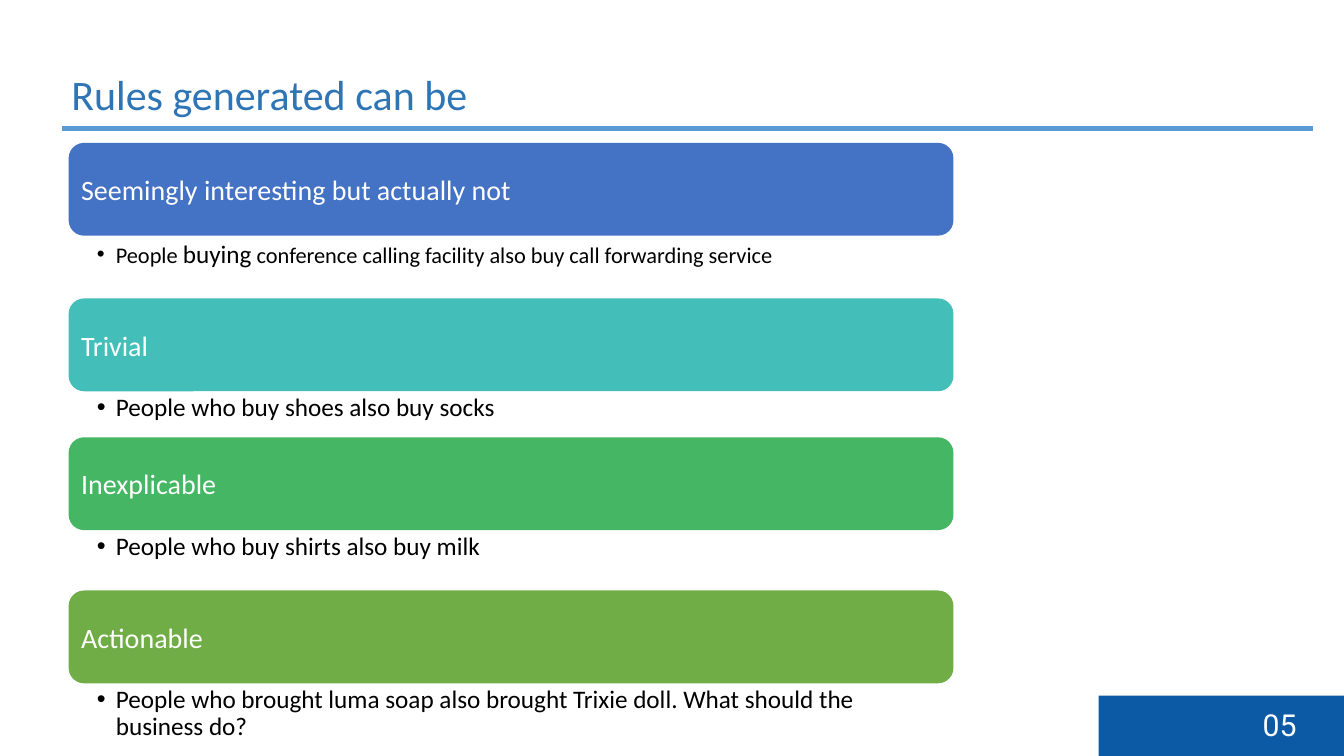
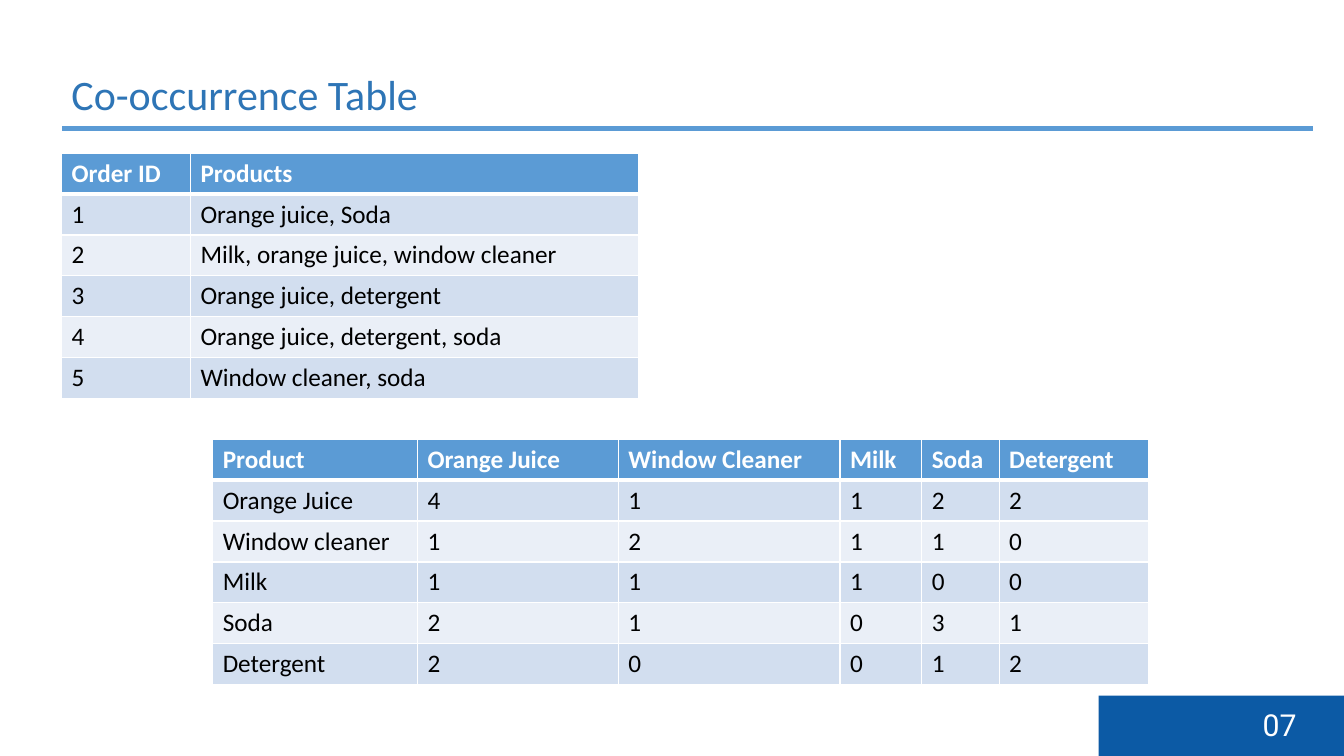
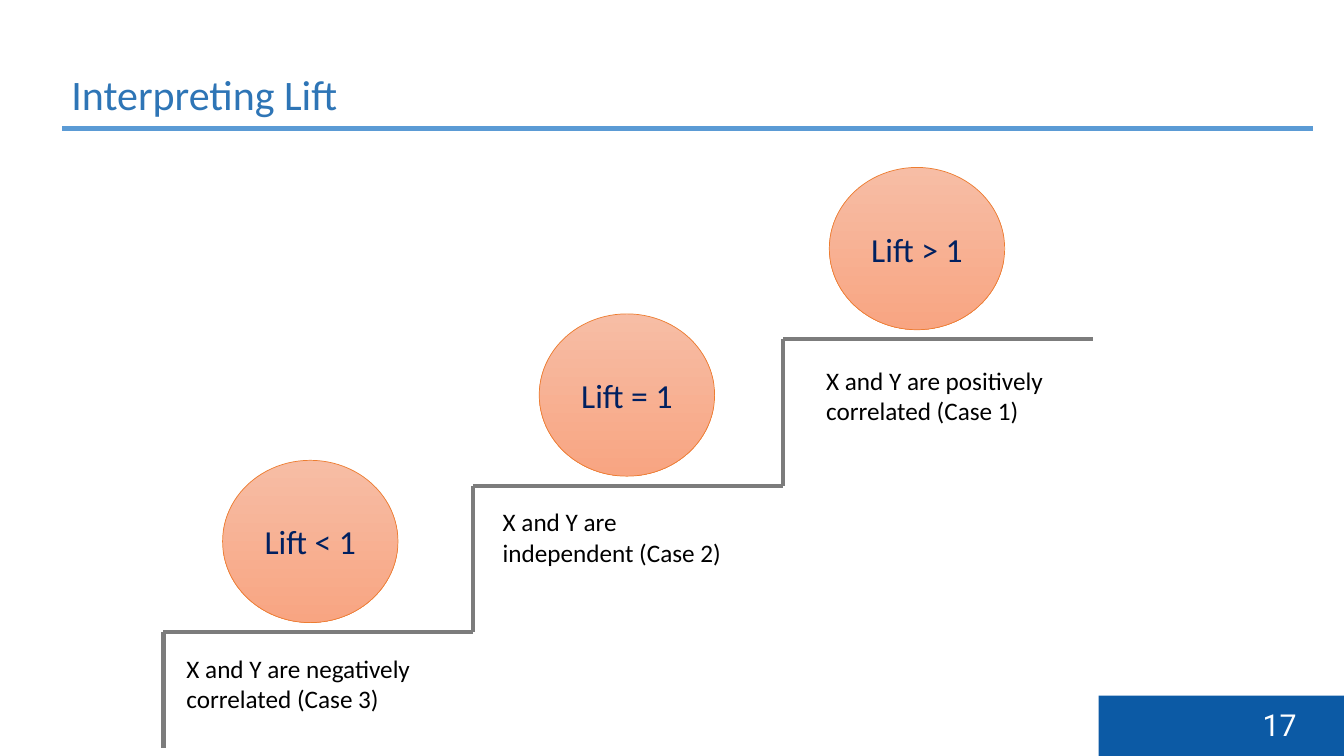
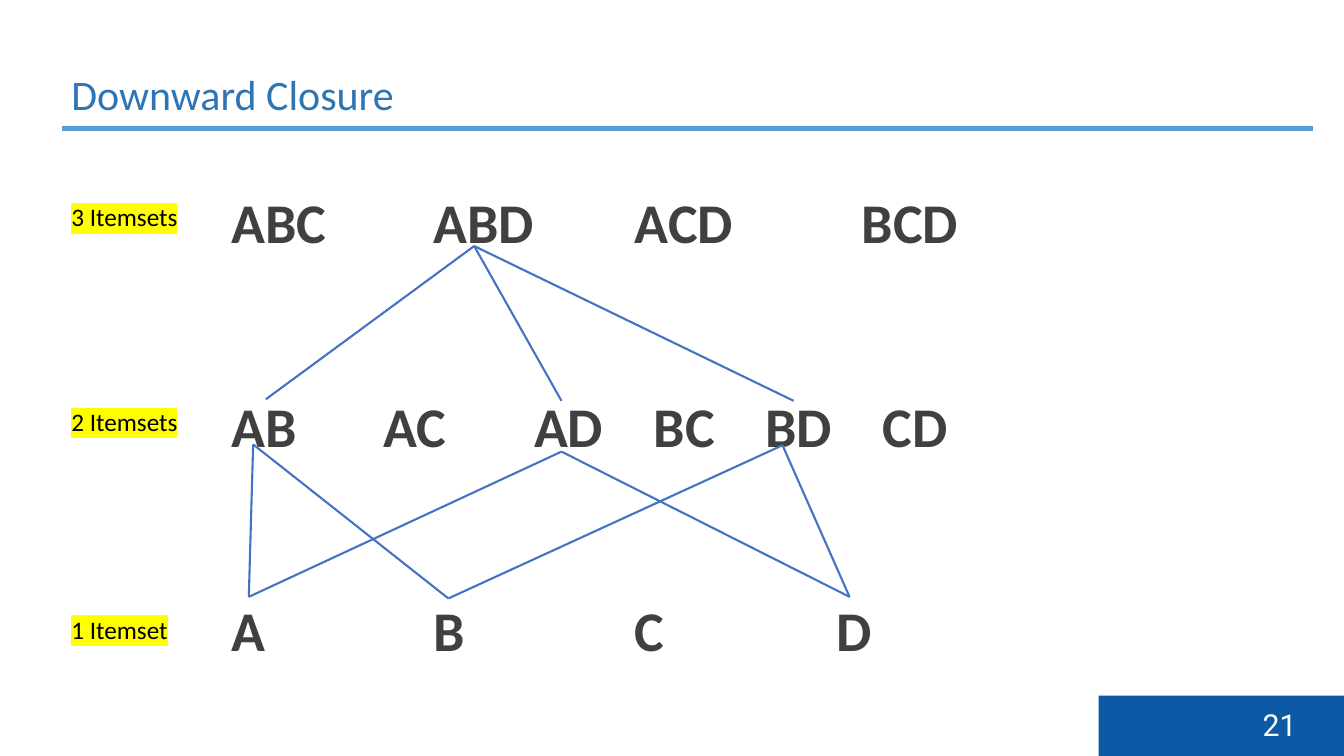
"""Build four slides on association rules: rule types, co-occurrence, lift and downward closure."""
from lxml import etree
from pptx import Presentation
from pptx.dml.color import RGBColor
from pptx.enum.shapes import MSO_CONNECTOR, MSO_SHAPE
from pptx.enum.text import MSO_ANCHOR, PP_ALIGN
from pptx.oxml.ns import qn
from pptx.util import Cm, Pt

STRAIGHT = MSO_CONNECTOR.STRAIGHT
RECTANGLE = MSO_SHAPE.RECTANGLE
ROUNDED = MSO_SHAPE.ROUNDED_RECTANGLE
BALL = MSO_SHAPE.FLOWCHART_CONNECTOR
TOP, MIDDLE = MSO_ANCHOR.TOP, MSO_ANCHOR.MIDDLE
LEFT, CENTER = PP_ALIGN.LEFT, PP_ALIGN.CENTER

WHITE, BLACK = "FFFFFF", "000000"
TITLE_BLUE, RULE_BLUE, FOOTER_BLUE = "2E75B6", "5B9BD5", "0C5AA5"
BAND_DARK, BAND_LIGHT = "D2DEEF", "EAEFF7"
STAIR_GREY, BALL_LINE, BALL_TEXT = "7C7C7C", "ED7D31", "002060"
BALL_GRADIENT = ("F7BDA5", "F8A582")
EDGE_BLUE, ITEM_GREY, HIGHLIGHT = "4472C4", "404040", "FFFF00"
TEXT_INSETS = (0.25, 0.13, 0.25, 0.13)

RULES = [
    ("Seemingly interesting but actually not", "4472C4", 0.08, 1.58,
     [("People ", 16), ("buying", 18),
      (" conference calling facility also buy call forwarding service", 16)]),
    ("Trivial", "43BEB9", 0, 1.16, [("People who buy shoes also buy socks", 18)]),
    ("Inexplicable", "45B664", 0, 1.52, [("People who buy shirts also buy milk", 18)]),
    ("Actionable", "70AD47", 0, 2.06,
     [("People who brought luma soap also brought Trixie doll. "
       "What should the business do?", 18)]),
]

ORDERS = [
    ("Order ID", "Products"),
    (1, "Orange juice, Soda"),
    (2, "Milk, orange juice, window cleaner"),
    (3, "Orange juice, detergent"),
    (4, "Orange juice, detergent, soda"),
    (5, "Window cleaner, soda"),
]
ORDER_WIDTHS = (3.25, 11.29)

CO_OCCURRENCE = [
    ("Product", "Orange Juice", "Window Cleaner", "Milk", "Soda", "Detergent"),
    ("Orange Juice", 4, 1, 1, 2, 2),
    ("Window cleaner", 1, 2, 1, 1, 0),
    ("Milk", 1, 1, 1, 0, 0),
    ("Soda", 2, 1, 0, 3, 1),
    ("Detergent", 2, 0, 0, 1, 2),
]
CO_OCCURRENCE_WIDTHS = (5.16, 5.06, 5.59, 2.06, 1.95, 3.76)

LIFT_STEPS = [
    ("Lift < 1", 5.61, "X and Y are negatively correlated (Case 3)", 4.45, 0.4),
    ("Lift = 1", 13.59, "X and Y are independent (Case 2)", 12.42, 0.4),
    ("Lift > 1", 20.9, "X and Y are positively correlated (Case 1)", 20.57, 0.53),
]

ITEMSETS = [
    (("ABC", "ABD", "ACD", "BCD"), (5.08, 10.16, 15.88)),
    (("AB", "AC", "AD", "BC", "BD", "CD"), (3.82, 7.62, 10.64, 13.45, 16.41)),
    (("A", "B", "C", "D"), (5.08, 10.16, 15.24)),
]
LEVELS = [("3 Itemsets", 4.95), ("2 Itemsets", 10.11), ("1 Itemset", 15.34)]
ITEM_TOPS = {
    "AB": (6.7, 10.06), "AD": (14.15, 10.1), "BD": (20, 10.1),
    "A": (6.27, 15.04), "B": (11.3, 15.08), "D": (21.41, 15.04),
}
ITEM_BOTTOMS = {
    "ABD": (11.95, 6.2), "AB": (6.38, 11.2), "AD": (14.15, 11.38), "BD": (19.72, 11.22),
}
SUBSETS = {
    "ABD": ("AB", "AD", "BD"), "AB": ("A", "B"), "AD": ("A", "D"), "BD": ("B", "D"),
}


def rgb(value):
    """Turn a hex string into a colour."""
    return RGBColor.from_string(value)


def add_element(parent, tag, **attributes):
    """Append a drawing element with the given attributes."""
    return etree.SubElement(parent, qn(tag), attributes)


def style_paragraph(paragraph, size, colour, font="Calibri", bold=False, align=LEFT):
    """Set the font and alignment of a whole paragraph."""
    paragraph.alignment = align
    paragraph.font.name = font
    paragraph.font.size = Pt(size)
    paragraph.font.bold = bold
    paragraph.font.color.rgb = rgb(colour)


def set_frame(frame, anchor=TOP, insets=TEXT_INSETS):
    """Set wrapping, anchor and insets of a text frame."""
    frame.word_wrap = True
    frame.vertical_anchor = anchor
    frame.margin_left, frame.margin_top, frame.margin_right, frame.margin_bottom = map(Cm, insets)


def add_text_box(slide, box, insets=TEXT_INSETS):
    """Add an empty text box and return its frame."""
    frame = slide.shapes.add_textbox(*map(Cm, box)).text_frame
    set_frame(frame, insets=insets)
    return frame


def add_text(slide, box, text, size, colour, font="Calibri"):
    """Add a text box of one paragraph and return the paragraph."""
    paragraph = add_text_box(slide, box).paragraphs[0]
    paragraph.text = text
    style_paragraph(paragraph, size, colour, font)
    return paragraph


def add_shape(slide, kind, box, fill, line=None, line_width=1):
    """Add a preset shape with a plain or two-colour fill."""
    shape = slide.shapes.add_shape(kind, *map(Cm, box))
    shape.shadow.inherit = False
    if isinstance(fill, tuple):
        shape.fill.gradient()
        shape.fill.gradient_angle = 270
        for stop, colour in zip(shape.fill.gradient_stops, fill):
            stop.color.rgb = rgb(colour)
    else:
        shape.fill.solid()
        shape.fill.fore_color.rgb = rgb(fill)
    if line:
        shape.line.color.rgb = rgb(line)
        shape.line.width = Pt(line_width)
    else:
        shape.line.fill.background()
    return shape


def add_line(slide, start, end, colour, width):
    """Add a straight line without a shadow."""
    connector = slide.shapes.add_connector(STRAIGHT, *map(Cm, (*start, *end)))
    connector.line.color.rgb = rgb(colour)
    connector.line.width = Pt(width)
    add_element(connector._element.spPr, "a:effectLst")


def add_cell_borders(cell, bottom_width):
    """Give a cell white borders."""
    properties = cell._tc.get_or_add_tcPr()
    for side, width in (("L", 1), ("R", 1), ("T", 1), ("B", bottom_width)):
        border = add_element(properties, f"a:ln{side}", w=str(Pt(width)))
        add_element(add_element(border, "a:solidFill"), "a:srgbClr", val=WHITE)


def add_banded_table(slide, left, top, widths, rows, row_height=1.03):
    """Add a table with a blue header and banded rows."""
    size = (sum(widths), row_height * len(rows))
    table = slide.shapes.add_table(len(rows), len(widths), *map(Cm, (left, top, *size))).table
    for column, width in zip(table.columns, widths):
        column.width = Cm(width)
    for row_index, row in enumerate(rows):
        table.rows[row_index].height = Cm(row_height)
        header = row_index == 0
        fill = RULE_BLUE if header else (BAND_LIGHT, BAND_DARK)[row_index % 2]
        for column_index, value in enumerate(row):
            cell = table.cell(row_index, column_index)
            add_cell_borders(cell, 3 if header else 1)
            cell.fill.solid()
            cell.fill.fore_color.rgb = rgb(fill)
            paragraph = cell.text_frame.paragraphs[0]
            paragraph.text = str(value)
            style_paragraph(paragraph, 18, WHITE if header else BLACK, bold=header)


def add_slide(presentation, title, number):
    """Add a slide with its title, rule and page number."""
    slide = presentation.slides.add_slide(presentation.slide_layouts[6])
    add_text(slide, (1.55, 1.6, 20, 1.5), title, 30, TITLE_BLUE)
    add_shape(slide, RECTANGLE, (1.55, 3.15, 31.55, 0.18), RULE_BLUE, WHITE)
    add_shape(slide, RECTANGLE, (27.69, 17.53, 6.18, 1.52), FOOTER_BLUE)
    add_text(slide, (31.57, 17.68, 1.6, 1.17), number, 21.6, WHITE, "Roboto")
    return slide


def build_rules(slide):
    """Stack a coloured heading and a bullet for each kind of rule."""
    left, top, width, bar_height = 1.73, 3.6, 22.3, 2.34
    for heading, colour, gap, body_height, runs in RULES:
        bar = add_shape(slide, ROUNDED, (left, top, width, bar_height), colour)
        set_frame(bar.text_frame, MIDDLE, (0.2, 0.2, 0.2, 0.2))
        paragraph = bar.text_frame.paragraphs[0]
        paragraph.text = heading
        style_paragraph(paragraph, 20, WHITE)
        top += bar_height

        body = (left, top + gap, width, body_height - gap)
        paragraph = add_text_box(slide, body, (0.71, 0.08, 0.36, 0.08)).paragraphs[0]
        properties = paragraph._p.get_or_add_pPr()
        properties.set("marL", str(Cm(0.48)))
        properties.set("indent", str(Cm(-0.48)))
        add_element(properties, "a:buFont", typeface="Arial")
        add_element(properties, "a:buChar", char="•")
        paragraph.line_spacing = 0.9
        style_paragraph(paragraph, runs[0][1], BLACK)
        for text, size in runs:
            run = paragraph.add_run()
            run.text = text
            run.font.size = Pt(size)
        top += body_height


def build_tables(slide):
    """Show the orders and the product counts."""
    add_banded_table(slide, 5.36, 11.07, CO_OCCURRENCE_WIDTHS, CO_OCCURRENCE)
    add_banded_table(slide, 1.55, 3.86, ORDER_WIDTHS, ORDERS)


def build_lift(slide):
    """Draw a rising stair with a ball and a caption on each step."""
    left, first_tread, tread, rise, floor = 4.12, 15.93, 7.81, 3.69, 18.85
    for index, (label, ball_left, caption, caption_left, drop) in enumerate(LIFT_STEPS):
        x, y = left + index * tread, first_tread - index * rise
        add_line(slide, (x, y), (x, min(y + rise, floor)), STAIR_GREY, 3)
        add_line(slide, (x, y), (x + tread, y), STAIR_GREY, 3)
        ball = add_shape(slide, BALL, (ball_left, y - 4.33, 4.42, 4.09),
                         BALL_GRADIENT, BALL_LINE, 0.5)
        set_frame(ball.text_frame, MIDDLE)
        paragraph = ball.text_frame.paragraphs[0]
        paragraph.text = label
        style_paragraph(paragraph, 24, BALL_TEXT, align=CENTER)
        add_text(slide, (caption_left, y + drop, 6.76, 1.8), caption, 18, BLACK)


def build_closure(slide):
    """Show the itemset lattice with its subset lines."""
    frame = add_text_box(slide, (5.59, 4.6, 19.38, 12.22))
    for index, (names, stops) in enumerate(ITEMSETS):
        paragraph = frame.add_paragraph() if index else frame.paragraphs[0]
        paragraph.text = "\t".join(names)
        tabs = add_element(paragraph._p.get_or_add_pPr(), "a:tabLst")
        for stop in stops:
            add_element(tabs, "a:tab", pos=str(Cm(stop)), algn="l")
        if index:
            paragraph.space_before = Pt(97.6)
        style_paragraph(paragraph, 40, ITEM_GREY, bold=True)
    for itemset, subsets in SUBSETS.items():
        for subset in subsets:
            add_line(slide, ITEM_BOTTOMS[itemset], ITEM_TOPS[subset], EDGE_BLUE, 1.5)
    for label, top in LEVELS:
        paragraph = add_text(slide, (1.55, top, 4.04, 1.02), label, 18, BLACK)
        highlight = add_element(paragraph.runs[0]._r.get_or_add_rPr(), "a:highlight")
        add_element(highlight, "a:srgbClr", val=HIGHLIGHT)


SLIDES = [
    ("Rules generated can be", "05", build_rules),
    ("Co-occurrence Table", "07", build_tables),
    ("Interpreting Lift", "17", build_lift),
    ("Downward Closure", "21", build_closure),
]


def main():
    """Build and save the presentation."""
    presentation = Presentation()
    presentation.slide_width, presentation.slide_height = Cm(33.87), Cm(19.05)
    for title, number, build in SLIDES:
        build(add_slide(presentation, title, number))
    presentation.save("out.pptx")


if __name__ == "__main__":
    main()
